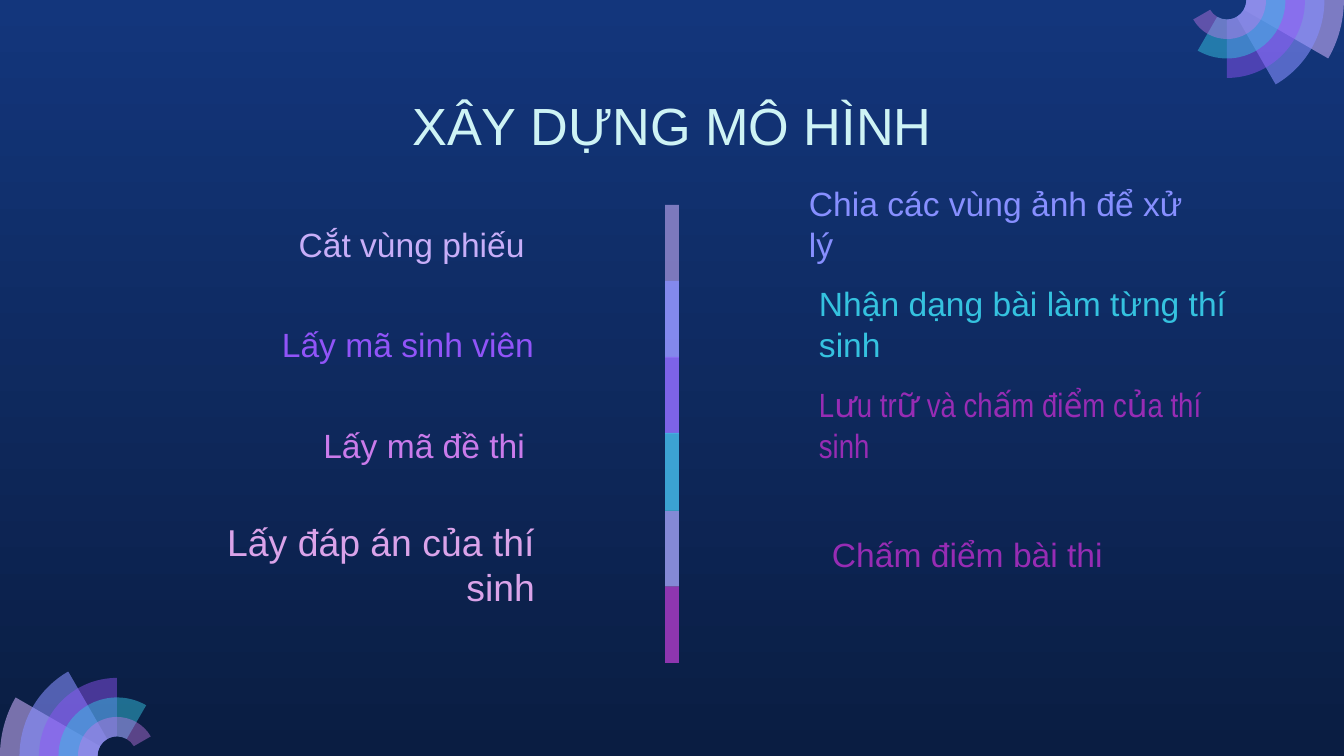
import math
import pptx
import pptx.util
import pptx.dml.color
import pptx.enum.lang
import pptx.enum.shapes
import pptx.enum.text
import pptx.oxml.ns
import lxml.etree

PX = 914400 / 134.4  # EMU in one px
THEME = {
    "sky": ("13367C", "0A1D42"),
    "title": "CEF3F5",
    "lilac": "C8AEF8",
    "blue": "878FFF",
    "violet": "9154F8",
    "cyan": "35C2DF",
    "orchid": "CA7BEB",
    "plum": "972CB4",
    "pink": "DAA3E9",
    "head": 28,
    "item": 18,
    "large": 20,
    "font": "Arial",
    "narrow": "Arial Narrow",
}
ALIGN = pptx.enum.text.PP_ALIGN
ANCHOR = pptx.enum.text.MSO_ANCHOR
RGB = pptx.dml.color.RGBColor.from_string
QN = pptx.oxml.ns.qn


def tint(shape, color, alpha):
    """Fill without outline or shadow; alpha is the opacity in percent."""
    shape.shadow.inherit = False
    shape.line.fill.background()
    shape.fill.solid()
    shape.fill.fore_color.rgb = RGB(THEME[color])
    node = shape.fill._xPr.find(".//" + QN("a:srgbClr"))
    lxml.etree.SubElement(node, QN("a:alpha"), val=str(alpha * 1000))


def write(shape, box, text, color, size, align, anchor, font="font", inset=13):
    """Place a text shape (box in px) and give it one plain line."""
    shape.left, shape.top, shape.width, shape.height = [round(v * PX) for v in box]
    frame = shape.text_frame
    frame.word_wrap = True
    frame.auto_size = pptx.enum.text.MSO_AUTO_SIZE.NONE
    frame.vertical_anchor = anchor
    frame.margin_left = frame.margin_right = round(13 * PX)
    frame.margin_top = frame.margin_bottom = round(inset * PX)
    para = frame.paragraphs[0]
    para.alignment = align
    para.space_before = pptx.util.Pt(0)
    props = para._p.get_or_add_pPr()
    props.set("marL", "0")
    props.set("indent", "0")
    lxml.etree.SubElement(props, QN("a:buNone"))
    run = para.add_run()
    run.text = text
    run.font.name = THEME[font]
    run.font.size = pptx.util.Pt(THEME[size])
    run.font.bold = False
    run.font.color.rgb = RGB(THEME[color])
    run.font.language_id = pptx.enum.lang.MSO_LANGUAGE_ID.VIETNAMESE


deck = pptx.Presentation()
deck.slide_width = round(1344 * PX)
deck.slide_height = round(756 * PX)
slide = deck.slides.add_slide(deck.slide_layouts.get_by_name("Comparison"))
shapes = slide.shapes

# Background
fill = slide.background.fill
fill.gradient()
fill.gradient_angle = 270
for stop, color in zip(fill.gradient_stops, THEME["sky"]):
    stop.color.rgb = RGB(color)

# Corner fans: each blade is one ring smaller and opens 30 degrees wider
blades = [("lilac", 58), ("blue", 58), ("violet", 46), ("cyan", 49), ("orchid", 42)]
for hub_x, hub_y, turn in [(117, 756, 180), (1227, 0, 0)]:
    for i, (color, alpha) in enumerate(blades):
        span = 30 * (i + 1)
        edges = [0, span] if span <= 90 else [0, 90, span]
        points = []
        for radius, stops in [(117 - 19.5 * i, edges), (19.5, edges[::-1])]:
            # Polar points: the start, then two handles and an end per curve
            polar = [(radius, stops[0], 0)]
            for start, end in zip(stops, stops[1:]):
                pull = radius * 4 / 3 * math.tan(math.radians(end - start) / 4)
                polar += [(radius, start, pull), (radius, end, -pull), (radius, end, 0)]
            for reach, angle, pull in polar:
                theta = math.radians(turn + angle)
                x = hub_x + reach * math.cos(theta) - pull * math.sin(theta)
                y = hub_y + reach * math.sin(theta) + pull * math.cos(theta)
                points.append((round(x * PX), round(y * PX)))
        outline = shapes.build_freeform(*points[0])
        outline.add_line_segments(points[1:], close=True)
        blade = outline.convert_to_shape()
        tint(blade, color, alpha)

        # Turn each run of three lines into one curve
        lines = list(blade._element.iter(QN("a:lnTo")))
        count = 3 * (len(edges) - 1)
        for arc in (lines[:count], lines[count + 1:2 * count + 1]):
            for k in range(0, count, 3):
                curve = lxml.etree.Element(QN("a:cubicBezTo"))
                arc[k].addprevious(curve)
                for line in arc[k:k + 3]:
                    curve.append(line[0])
                    line.getparent().remove(line)

# Title
write(shapes.title, (106, 80, 1132, 85), "XÂY DỰNG MÔ HÌNH",
      "title", "head", ALIGN.CENTER, ANCHOR.TOP)

# Centre strip: every bar but the last runs on under the next one
bars = [(205, "lilac", 59), (281, "blue", 74), (357, "violet", 53),
        (433, "cyan", 76), (511, "orchid", 56), (587, "plum", 74)]
for top, color, alpha in bars:
    bar = shapes.add_shape(
        pptx.enum.shapes.MSO_SHAPE.RECTANGLE,
        *[round(v * PX) for v in (665, top, 14, min(153, 663 - top))])
    tint(bar, color, alpha)

# Left steps in the body placeholders
bodies = [s for s in slide.placeholders if s.placeholder_format.idx in (1, 2, 3, 4)]
left = [
    ((207, 219, 340, 58), "Cắt vùng phiếu ", "lilac", "item", ANCHOR.BOTTOM, 13),
    ((207, 319, 340, 58), "Lấy mã sinh viên", "violet", "item", ANCHOR.BOTTOM, 13),
    ((198, 420, 340, 58), "Lấy mã đề thi", "orchid", "item", ANCHOR.BOTTOM, 13),
    ((146, 512, 402, 59), "Lấy đáp án của thí sinh", "pink", "large", ANCHOR.TOP, 7),
]
for body, (box, text, color, size, anchor, inset) in zip(bodies, left):
    write(body, box, text, color, size, ALIGN.RIGHT, anchor, inset=inset)

# Right steps
right = [
    ((796, 219, 415, 58), "Chia các vùng ảnh để xử lý", "blue", "font"),
    ((806, 319, 480, 58), "Nhận dạng bài làm từng thí sinh", "cyan", "font"),
    ((806, 420, 440, 58), "Lưu trữ và chấm điểm của thí sinh", "plum", "narrow"),
    ((819, 529, 340, 58), "Chấm điểm bài thi", "plum", "font"),
]
for box, text, color, font in right:
    write(shapes.add_textbox(0, 0, 0, 0), box, text, color, "item",
          ALIGN.LEFT, ANCHOR.BOTTOM, font)

deck.save("out.pptx")
